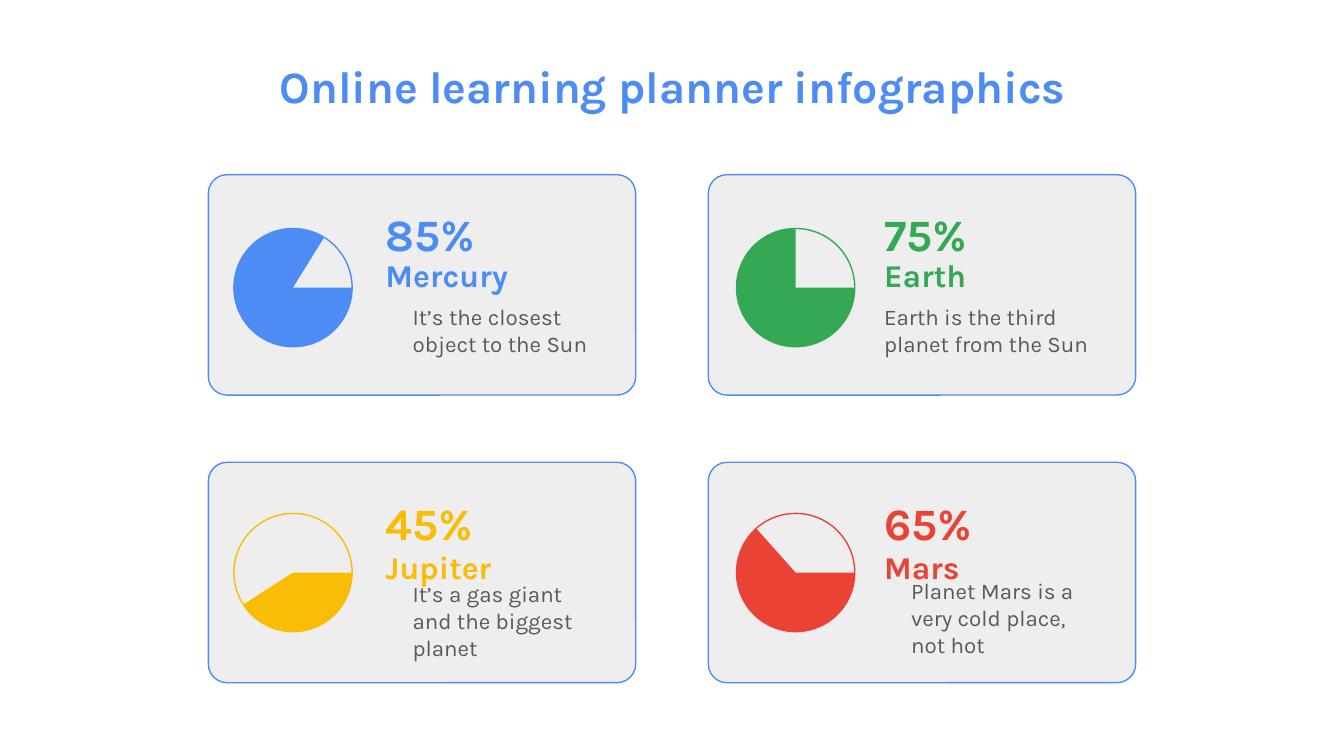
from collections import namedtuple

from pptx import Presentation
from pptx.dml.color import RGBColor
from pptx.enum.shapes import MSO_SHAPE as Shape
from pptx.enum.text import MSO_ANCHOR as Anchor, PP_ALIGN as Align
from pptx.util import Inches, Pt

COLORS = {
    "blue": "4D8CF5",
    "green": "34A853",
    "yellow": "FBBC05",
    "red": "EA4335",
    "panel": "EEEEEE",
    "body": "595959",
}
FONT = "Karla"
PIE_UNITS_PER_DEGREE = 0.6

Column = namedtuple("Column", "panel pie text")
Row = namedtuple("Row", "panel pie percent name")
Planet = namedtuple(
    "Planet", "column row percent name color end_angle note note_top note_inset"
)

LEFT = Column(panel=1.55, pie=1.74, text=2.77)
RIGHT = Column(panel=5.27, pie=5.48, text=6.48)
TOP = Row(panel=1.3, pie=1.7, percent=1.5, name=1.81)
BOTTOM = Row(panel=3.44, pie=3.82, percent=3.65, name=3.98)

PLANETS = [
    Planet(LEFT, TOP, "85%", "Mercury", "blue", 301.77,
           "It’s the closest object to the Sun", 2.18, 0.3),
    Planet(RIGHT, TOP, "75%", "Earth", "green", 270,
           "Earth is the third planet from the Sun", 2.18, 0.1),
    Planet(LEFT, BOTTOM, "45%", "Jupiter", "yellow", 147.17,
           "It’s a gas giant and the biggest planet", 4.34, 0.3),
    Planet(RIGHT, BOTTOM, "65%", "Mars", "red", 228.17,
           "Planet Mars is a very cold place, not hot", 4.32, 0.3),
]


def rgb(color):
    return RGBColor.from_string(COLORS[color])


def add_figure(slide, kind, left, top, width, height, fill=None, line=None):
    shape = slide.shapes.add_shape(
        kind, Inches(left), Inches(top), Inches(width), Inches(height))
    shape.shadow.inherit = False
    if fill:
        shape.fill.solid()
        shape.fill.fore_color.rgb = rgb(fill)
    else:
        shape.fill.background()
    if line:
        shape.line.color.rgb = rgb(line)
        shape.line.width = Pt(0.75)
    else:
        shape.line.fill.background()
    return shape


def add_text(slide, text, left, top, width, height, size, color, bold=True,
             align=Align.LEFT, anchor=Anchor.MIDDLE,
             inset_left=0.1, inset_right=0.1):
    box = slide.shapes.add_textbox(
        Inches(left), Inches(top), Inches(width), Inches(height))
    frame = box.text_frame
    frame.word_wrap = True
    frame.vertical_anchor = anchor
    frame.margin_left = Inches(inset_left)
    frame.margin_right = Inches(inset_right)
    frame.margin_top = frame.margin_bottom = Inches(0.1)
    paragraph = frame.paragraphs[0]
    paragraph.alignment = align
    run = paragraph.add_run()
    run.text = text
    run.font.name = FONT
    run.font.size = Pt(size)
    run.font.bold = bold
    run.font.color.rgb = rgb(color)


def add_panel(slide, planet):
    panel = add_figure(slide, Shape.ROUNDED_RECTANGLE, planet.column.panel,
                       planet.row.panel, 3.18, 1.64, fill="panel", line="blue")
    panel.adjustments[0] = 0.085


def add_pie(slide, planet):
    area = (planet.column.pie, planet.row.pie, 0.88, 0.88)
    add_figure(slide, Shape.OVAL, *area, line=planet.color)
    pie = add_figure(slide, Shape.PIE, *area, fill=planet.color)
    pie.adjustments[0] = 0
    pie.adjustments[1] = planet.end_angle * PIE_UNITS_PER_DEGREE


def add_labels(slide, planet):
    left, row = planet.column.text, planet.row
    add_text(slide, planet.note, left, planet.note_top, 1.97, 0.55, 12, "body",
             bold=False, inset_left=planet.note_inset, inset_right=0.3)
    add_text(slide, planet.name, left, row.name, 1.97, 0.47, 17, planet.color)
    add_text(slide, planet.percent, left, row.percent, 1.97, 0.47, 24, planet.color)


def main():
    presentation = Presentation()
    presentation.slide_width = Inches(10)
    presentation.slide_height = Inches(10 * 9 / 16)
    slide = presentation.slides.add_slide(presentation.slide_layouts[6])
    add_text(slide, "Online learning planner infographics",
             0.2, 0.34, 9.61, 0.63, 24, "blue",
             align=Align.CENTER, anchor=Anchor.TOP)
    for planet in PLANETS:
        add_panel(slide, planet)
        add_pie(slide, planet)
        add_labels(slide, planet)
    presentation.save("out.pptx")


if __name__ == "__main__":
    main()
